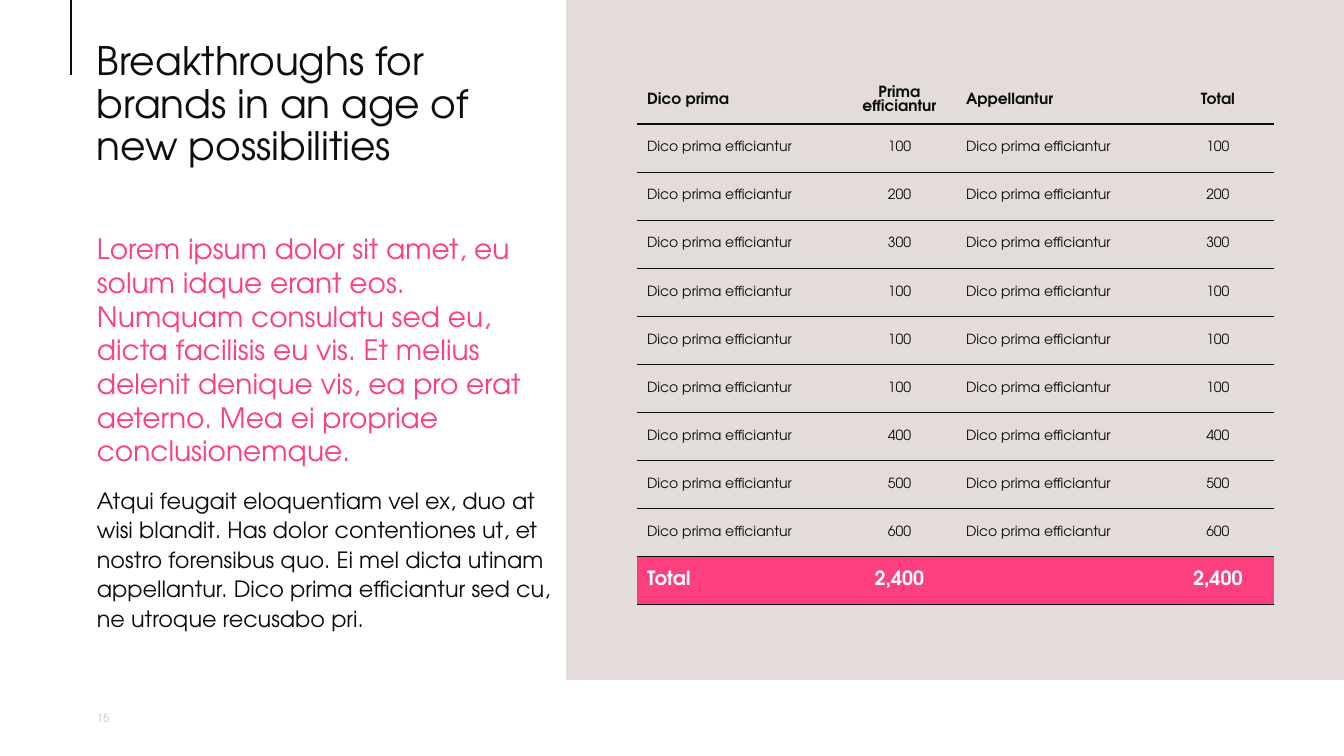
"""Build a text and table slide with python-pptx."""
from lxml import etree
from pptx import Presentation
from pptx import util as u
from pptx.dml.color import RGBColor
from pptx.enum import shapes, text
from pptx.oxml import parse_xml
from pptx.oxml.ns import nsdecls, qn

FONT = "TeX Gyre Adventor"
INK, PINK, WHITE, SAND, GREY = "0A0F0D", "FD3E81", "FFFFFF", "E3DCDB", "CEC3C1"
SCALE = 12192000 / 1344
px = lambda n: u.Emu(round(n * SCALE))
rgb = RGBColor.from_string


def write(p, string, size, color=INK, bold=False, align=text.PP_ALIGN.LEFT, spacing=1.0, after=0):
    p.alignment = align
    p.line_spacing = spacing
    p.space_after = u.Pt(after)
    r = p.add_run()
    r.text = string
    r.font.name = FONT
    r.font.size = u.Pt(size)
    r.font.bold = bold
    r.font.color.rgb = rgb(color)


def add_box(x, y, w, h, anchor=text.MSO_ANCHOR.TOP):
    tf = s.shapes.add_textbox(px(x), px(y), px(w), px(h)).text_frame
    tf.word_wrap = True
    tf.vertical_anchor = anchor
    return tf


prs = Presentation()
prs.slide_width, prs.slide_height = px(1344), px(756)
s = prs.slides.add_slide(prs.slide_layouts[6])
s.background.fill.solid()
s.background.fill.fore_color.rgb = rgb(SAND)

for x, y, w, h in [(0, 680, 1344, 76), (0, 0, 566, 680)]:
    sp = s.shapes.add_shape(shapes.MSO_SHAPE.RECTANGLE, px(x), px(y), px(w), px(h))
    sp.shadow.inherit = False
    sp.fill.solid()
    sp.fill.fore_color.rgb = rgb(WHITE)
    sp.line.fill.background()

rule = s.shapes.add_connector(shapes.MSO_CONNECTOR.STRAIGHT, px(71), 0, px(71), px(75))
rule.line.color.rgb = rgb(INK)
rule.line.width = u.Pt(1.5)
etree.SubElement(rule._element.spPr, qn("a:effectLst"))

title = add_box(87, 37, 479, 190)
write(title.paragraphs[0], "Breakthroughs for brands in an age of new possibilities", 28, spacing=0.9)

body = add_box(87, 227, 479, 453)
write(body.paragraphs[0],
      "Lorem ipsum dolor sit amet, eu solum idque erant eos. Numquam consulatu sed eu, "
      "dicta facilisis eu vis. Et melius delenit denique vis, ea pro erat aeterno. "
      "Mea ei propriae conclusionemque.", 20, color=PINK, after=12)
write(body.add_paragraph(),
      "Atqui feugait eloquentiam vel ex, duo at wisi blandit. Has dolor contentiones ut, et "
      "nostro forensibus quo. Ei mel dicta utinam appellantur. Dico prima efficiantur sed cu, "
      "ne utroque recusabo pri.", 16, spacing=1.1, after=12)

number = add_box(87, 702, 54, 32, text.MSO_ANCHOR.MIDDLE)
write(number.paragraphs[0], "15", 8, color=GREY)

LABEL = "Dico prima efficiantur"
values = [100, 200, 300, 100, 100, 100, 400, 500, 600]
total = f"{sum(values):,}"
rows = [["Dico prima", "Prima efficiantur", "Appellantur", "Total"]]
rows += [[LABEL, str(v), LABEL, str(v)] for v in values]
rows += [["Total", total, "", total]]

table = s.shapes.add_table(len(rows), 4, px(637), px(76), px(637), px(529)).table
table.first_row = table.horz_banding = False
table._tbl.tblPr.find(qn("a:tableStyleId")).text = "{2D5ABB26-0587-4C30-8999-92F81FD0307C}"
for column, width in zip(table.columns, [206, 113, 206, 112]):
    column.width = px(width)

header = dict(size=11, bold=True, spacing=u.Pt(10))
footer = dict(size=14, bold=True, color=WHITE)
formats = [header] + [dict(size=10)] * len(values) + [footer]
for i, (row, style) in enumerate(zip(rows, formats)):
    for j, string in enumerate(row):
        cell = table.cell(i, j)
        cell.vertical_anchor = text.MSO_ANCHOR.MIDDLE
        if style is footer:
            cell.fill.solid()
            cell.fill.fore_color.rgb = rgb(PINK)
        else:
            cell.fill.background()
        border = parse_xml(f'<a:lnB {nsdecls("a")} w="12700"><a:solidFill>'
                           f'<a:srgbClr val="{INK}"/></a:solidFill></a:lnB>')
        cell._tc.get_or_add_tcPr().insert(0, border)
        if string:
            align = text.PP_ALIGN.CENTER if j % 2 else text.PP_ALIGN.LEFT
            write(cell.text_frame.paragraphs[0], string, align=align, **style)

prs.save("out.pptx")
